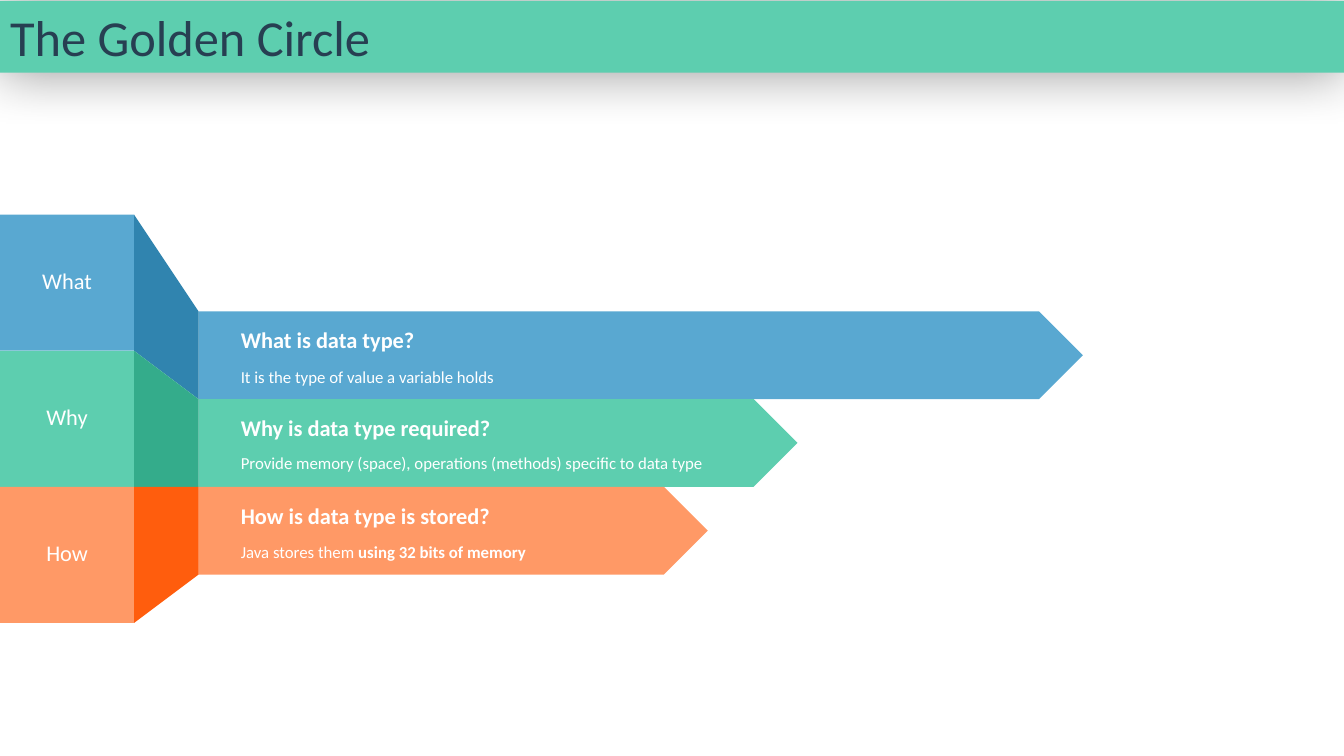
from lxml.etree import SubElement
from pptx import Presentation
from pptx.dml.color import RGBColor
from pptx.enum.shapes import MSO_SHAPE
from pptx.enum.text import MSO_ANCHOR, MSO_AUTO_SIZE, PP_ALIGN
from pptx.oxml.ns import qn
from pptx.util import Inches, Pt

WIDE, HIGH = 13.33, 7.5
# Grid: tiles on the left, folds between, arrows on the right
TILE_W, TILE_H, TILE_TOP = 1.33, 1.35, 2.13
BAR_X, BAR_H, BAR_TOP = 1.97, 0.87, 3.09
TEXT_X = 2.29
WHITE, GREEN, NAVY = "FFFFFF", "5DCEAF", "273F52"

# label, label width, colour, fold colour, arrow width,
# heading, heading width, detail, bold end, detail width, line spacing
ROWS = [
    ("What", 0.7, "59A8D1", "3084AF", 8.77, "What is data type?", 1.94,
     "It is the type of value a variable holds", "", 2.74, 1.1),
    ("Why", 0.62, GREEN, "34AC8B", 5.94, "Why is data type required?", 2.71,
     "Provide memory (space), operations (methods) specific to data type",
     "", 4.84, 1.0),
    ("How", 0.62, "FF9966", "FF5D0D", 5.05, "How is data type is stored?", 2.75,
     "Java stores them ", "using 32 bits of memory", 3.07, 1.1),
]


def box(*sides):
    return [Inches(side) for side in sides]


def paint(shape, color):
    shape.fill.solid()
    shape.fill.fore_color.rgb = RGBColor.from_string(color)
    shape.line.fill.background()
    shape.shadow.inherit = False


def write(frame, text, size=16, color=WHITE, bold=False, tail="",
          align=PP_ALIGN.LEFT, space=1.0):
    para = frame.paragraphs[0]
    para.alignment = align
    para.line_spacing = space
    for part, heavy in ((text, bold), (tail, True)):
        if part:
            run = para.add_run()
            run.text = part
            font = run.font
            font.name, font.size, font.bold = "Calibri", Pt(size), heavy
            font.color.rgb = RGBColor.from_string(color)


def block(slide, kind, color, *sides):
    paint(slide.shapes.add_shape(kind, *box(*sides)), color)


def fold(slide, color, left, right):
    """Join a tile's side (top, bottom) to an arrow's side (top, bottom)."""
    points = [(TILE_W, left[0]), (BAR_X, right[0]),
              (BAR_X, right[1]), (TILE_W, left[1])]
    start, *rest = [box(*point) for point in points]
    form = slide.shapes.build_freeform(*start)
    form.add_line_segments(rest, close=True)
    paint(form.convert_to_shape(), color)


def label(slide, sides, text, **style):
    frame = slide.shapes.add_textbox(*box(*sides)).text_frame
    frame.word_wrap = False
    frame.auto_size = MSO_AUTO_SIZE.SHAPE_TO_FIT_TEXT
    write(frame, text, **style)


def banner(slide, text):
    title = slide.shapes.title
    title.left, title.top, title.width, title.height = box(0, 0.01, WIDE, 0.71)
    paint(title, GREEN)
    # Soft shadow under the banner
    effects = title.fill._xPr.find(qn("a:effectLst"))
    glow = SubElement(effects, qn("a:outerShdw"), blurRad=str(Pt(39)),
                      dist="0", dir="0", algn="ctr", rotWithShape="0")
    shade = SubElement(glow, qn("a:srgbClr"), val="000000")
    SubElement(shade, qn("a:alpha"), val="40000")
    frame = title.text_frame
    frame.auto_size = MSO_AUTO_SIZE.NONE
    frame.vertical_anchor = MSO_ANCHOR.MIDDLE
    write(frame, text, size=36, color=NAVY)


def band(slide, rank, row):
    (name, name_w, color, dark, bar_w, head, head_w,
     note, tail, note_w, space) = row
    top = TILE_TOP + rank * TILE_H
    bar = BAR_TOP + rank * BAR_H
    # Shapes
    block(slide, MSO_SHAPE.RECTANGLE, color, 0, top, TILE_W, TILE_H)
    block(slide, MSO_SHAPE.PENTAGON, color, BAR_X, bar, bar_w, BAR_H)
    fold(slide, dark, (top, top + TILE_H), (bar, bar + BAR_H))
    # Words
    label(slide, ((TILE_W - name_w) / 2, top + 0.47, name_w, 0.37), name,
          align=PP_ALIGN.CENTER)
    label(slide, (TEXT_X, bar + 0.1, head_w, 0.37), head, bold=True)
    label(slide, (TEXT_X, bar + 0.48, note_w, 0.31), note, size=12,
          tail=tail, space=space)


def main():
    deck = Presentation()
    deck.slide_width, deck.slide_height = box(WIDE, HIGH)
    slide = deck.slides.add_slide(deck.slide_layouts[5])
    for rank, row in enumerate(ROWS):
        band(slide, rank, row)
    banner(slide, "The Golden Circle")
    deck.save("out.pptx")


if __name__ == "__main__":
    main()
